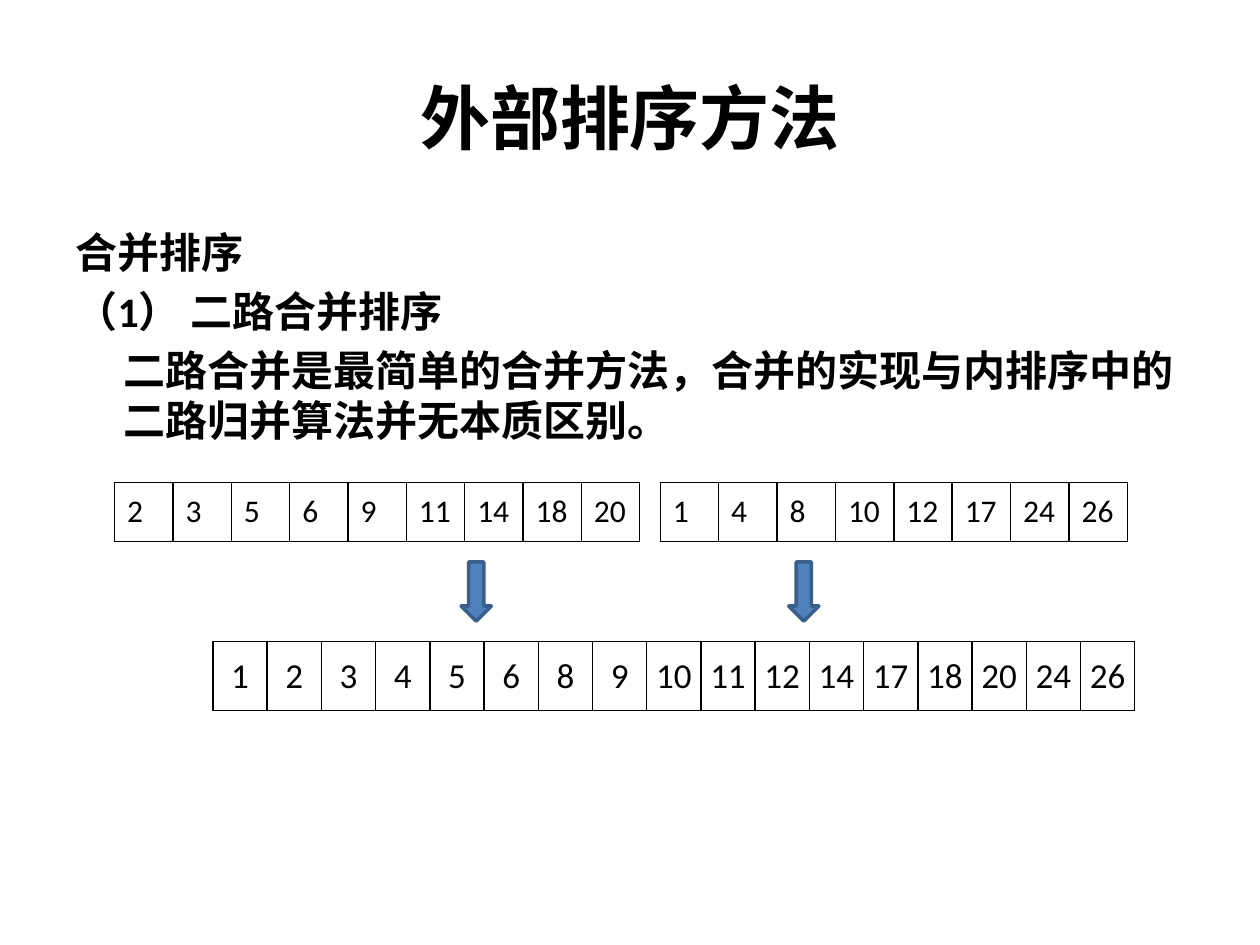
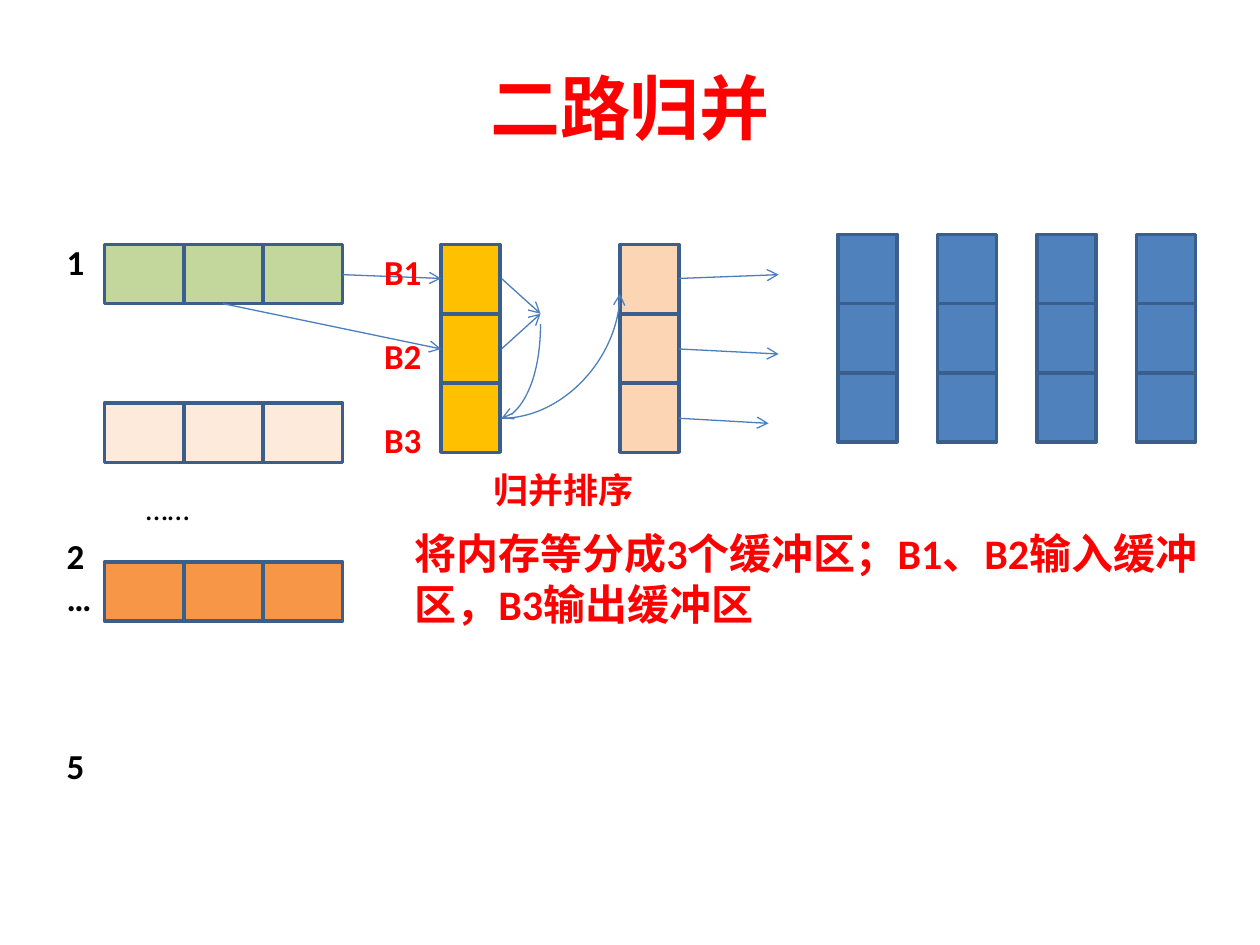
from dataclasses import dataclass

from lxml import etree
from pptx import Presentation
from pptx.dml.color import RGBColor
from pptx.enum.shapes import MSO_CONNECTOR, MSO_SHAPE
from pptx.enum.text import MSO_ANCHOR, PP_ALIGN
from pptx.oxml.ns import qn
from pptx.util import Emu, Pt

RECTANGLE = MSO_SHAPE.RECTANGLE
DOWN_ARROW = MSO_SHAPE.DOWN_ARROW
STRAIGHT = MSO_CONNECTOR.STRAIGHT
CURVE = MSO_CONNECTOR.CURVE
MIDDLE = MSO_ANCHOR.MIDDLE
CENTER = PP_ALIGN.CENTER
LEFT = PP_ALIGN.LEFT

EMU_PER_PX = 9144
TITLE_AND_BODY, TITLE_ONLY = 1, 5


@dataclass(frozen=True)
class Theme:
    """Colours, type sizes and line widths of the deck."""
    font: str = "Calibri"
    black: str = "000000"
    red: str = "FF0000"
    blue: str = "4F81BD"
    outline: str = "3A5F8C"
    arrow: str = "4B7EBC"
    gold: str = "FFC000"
    peach: str = "FCD5B5"
    green: str = "C3D69B"
    cream: str = "FDEADA"
    orange: str = "F79646"
    title: int = 40
    body: int = 24
    label: int = 20
    small: int = 18
    outline_width: float = 2
    arrow_width: float = 0.75
    border_width: float = 1


def px(length):
    """Turn whole px into EMU."""
    return Emu(length * EMU_PER_PX)


class Deck:
    """Draws styled elements on the current slide."""

    def __init__(self, theme):
        self.theme = theme
        self.presentation = Presentation()
        self.presentation.slide_width = px(1000)
        self.presentation.slide_height = px(750)
        self.slide = None

    def add_text(self, paragraph, text, size, color, bold=False):
        """Add one run to a paragraph."""
        run = paragraph.add_run()
        run.text = text
        run.font.name = self.theme.font
        run.font.size = Pt(size)
        run.font.bold = bold
        run.font.color.rgb = RGBColor.from_string(color)

    def place(self, holder, left, top, width, height):
        """Move a placeholder to its box."""
        holder.left, holder.top = px(left), px(top)
        holder.width, holder.height = px(width), px(height)

    def new_slide(self, layout, title, color, title_height):
        """Start a slide with its title."""
        self.slide = self.presentation.slides.add_slide(
            self.presentation.slide_layouts[layout])
        heading = self.slide.shapes.title
        self.place(heading, 50, 30, 900, title_height)
        heading.text_frame.vertical_anchor = MIDDLE
        paragraph = heading.text_frame.paragraphs[0]
        paragraph.alignment = CENTER
        self.add_text(paragraph, title, self.theme.title, color, True)

    def body(self, entries):
        """Fill the body placeholder with (text, first-line indent) pairs."""
        holder = self.slide.placeholders[1]
        self.place(holder, 50, 175, 900, 495)
        frame = holder.text_frame
        for index, (text, indent) in enumerate(entries):
            paragraph = frame.add_paragraph() if index else frame.paragraphs[0]
            properties = paragraph._p.get_or_add_pPr()
            properties.set("marL", str(px(38)))
            properties.set("indent", str(px(indent)))
            etree.SubElement(properties, qn("a:buNone"))
            self.add_text(paragraph, text, self.theme.body, self.theme.black, True)

    def text(self, box, entries, size, color, bold=True):
        """Add a text box of (text, points before) pairs."""
        frame = self.slide.shapes.add_textbox(*map(px, box)).text_frame
        frame.word_wrap = True
        for index, (text, before) in enumerate(entries):
            paragraph = frame.add_paragraph() if index else frame.paragraphs[0]
            paragraph.space_before = Pt(before)
            self.add_text(paragraph, text, size, color, bold)

    def shape(self, kind, left, top, width, height, fill):
        """Add a filled and outlined preset shape."""
        shape = self.slide.shapes.add_shape(
            kind, px(left), px(top), px(width), px(height))
        shape.shadow.inherit = False
        shape.fill.solid()
        shape.fill.fore_color.rgb = RGBColor.from_string(fill)
        shape.line.color.rgb = RGBColor.from_string(self.theme.outline)
        shape.line.width = Pt(self.theme.outline_width)

    def column(self, left, top, fill):
        """Stack three blocks."""
        for row in range(3):
            self.shape(RECTANGLE, left, top + 55 * row, 47, 55, fill)

    def row(self, left, top, fill):
        """Set three blocks side by side."""
        for block in range(3):
            self.shape(RECTANGLE, left + 63 * block, top, 63, 47, fill)

    def arrow(self, begin, end, kind=STRAIGHT, tip="tailEnd"):
        """Add a thin arrow, straight or bent through a quarter curve."""
        line = self.slide.shapes.add_connector(kind, *map(px, begin + end))
        line.line.color.rgb = RGBColor.from_string(self.theme.arrow)
        line.line.width = Pt(self.theme.arrow_width)
        properties = line._element.spPr
        if kind == CURVE:
            properties.find(qn("a:prstGeom")).set("prst", "curvedConnector2")
        etree.SubElement(properties.find(qn("a:ln")), qn(f"a:{tip}"), type="arrow")
        etree.SubElement(properties, qn("a:effectLst"))

    def border(self, cell):
        """Rule all four sides of a cell."""
        properties = cell._tc.get_or_add_tcPr()
        for index, side in enumerate(("lnL", "lnR", "lnT", "lnB")):
            edge = etree.Element(
                qn(f"a:{side}"), w=str(Pt(self.theme.border_width)))
            fill = etree.SubElement(edge, qn("a:solidFill"))
            etree.SubElement(fill, qn("a:srgbClr"), val=self.theme.black)
            properties.insert(index, edge)

    def table(self, box, keys, size, align=LEFT, margins=None):
        """Add a one-row table of sorted keys."""
        table = self.slide.shapes.add_table(1, len(keys), *map(px, box)).table
        table.first_row = table.horz_banding = False
        for cell, key in zip(table.rows[0].cells, keys):
            cell.fill.background()
            self.border(cell)
            cell.vertical_anchor = MIDDLE
            if margins:
                (cell.margin_left, cell.margin_top,
                 cell.margin_right, cell.margin_bottom) = map(px, margins)
            paragraph = cell.text_frame.paragraphs[0]
            paragraph.alignment = align
            self.add_text(paragraph, str(key), size, self.theme.black)


def merge_method(deck):
    """Show two sorted runs merging into one."""
    theme = deck.theme
    deck.new_slide(TITLE_AND_BODY, "外部排序方法", theme.black, 125)
    deck.body([
        ("合并排序", -38),
        ("（1） 二路合并排序", -38),
        ("二路合并是最简单的合并方法，合并的实现与内排序中的二路归并算法并无本质区别。", 0),
    ])
    first_run = [2, 3, 5, 6, 9, 11, 14, 18, 20]
    second_run = [1, 4, 8, 10, 12, 17, 24, 26]
    deck.table((91, 383, 417, 47), first_run, theme.small)
    deck.table((524, 383, 371, 47), second_run, theme.small)
    deck.table((169, 509, 732, 55), sorted(first_run + second_run),
               theme.label, CENTER, (1, 1, 1, 0))
    for left in (366, 626):
        deck.shape(DOWN_ARROW, left, 446, 24, 47, theme.blue)


def two_way_merge(deck):
    """Show runs flowing through three buffers to the output."""
    theme = deck.theme
    deck.new_slide(TITLE_ONLY, "二路归并", theme.red, 109)

    deck.column(350, 194, theme.gold)
    for disk in range(4):
        deck.column(665 + 79 * disk, 186, theme.blue)
    deck.column(492, 194, theme.peach)
    for index, fill in enumerate((theme.green, theme.cream, theme.orange)):
        deck.row(83, 194 + 126 * index, fill)

    buffer_1, buffer_2, buffer_3 = (398, 221), (398, 277), (398, 332)
    merge_point = (429, 249)
    for begin, end in (
        ((539, 221), (618, 218)),
        ((539, 277), (618, 281)),
        ((539, 332), (610, 336)),
        ((177, 241), (350, 277)),
        ((272, 218), (350, 221)),
        (buffer_1, merge_point),
        (buffer_2, merge_point),
    ):
        deck.arrow(begin, end)
    deck.arrow(buffer_3, (429, 257), CURVE, "headEnd")
    deck.arrow(buffer_3, (492, 233), CURVE)

    deck.text((106, 383, 79, 40), [("……", 0)], theme.small, theme.black, False)
    deck.text((43, 186, 39, 313), [("1", 0), ("2", 144), ("…", 0), ("5", 72)],
              theme.label, theme.black)
    deck.text((382, 367, 134, 44), [("归并排序", 0)], theme.label, theme.red)
    deck.text((319, 414, 654, 91),
              [("将内存等分成3个缓冲区；B1、B2输入缓冲区，B3输出缓冲区", 0)],
              theme.body, theme.red)
    deck.text((295, 194, 55, 178), [("B1", 0), ("B2", 24), ("B3", 24)],
              theme.label, theme.red)


def main():
    """Build and save both slides."""
    deck = Deck(Theme())
    merge_method(deck)
    two_way_merge(deck)
    deck.presentation.save("out.pptx")


if __name__ == "__main__":
    main()
